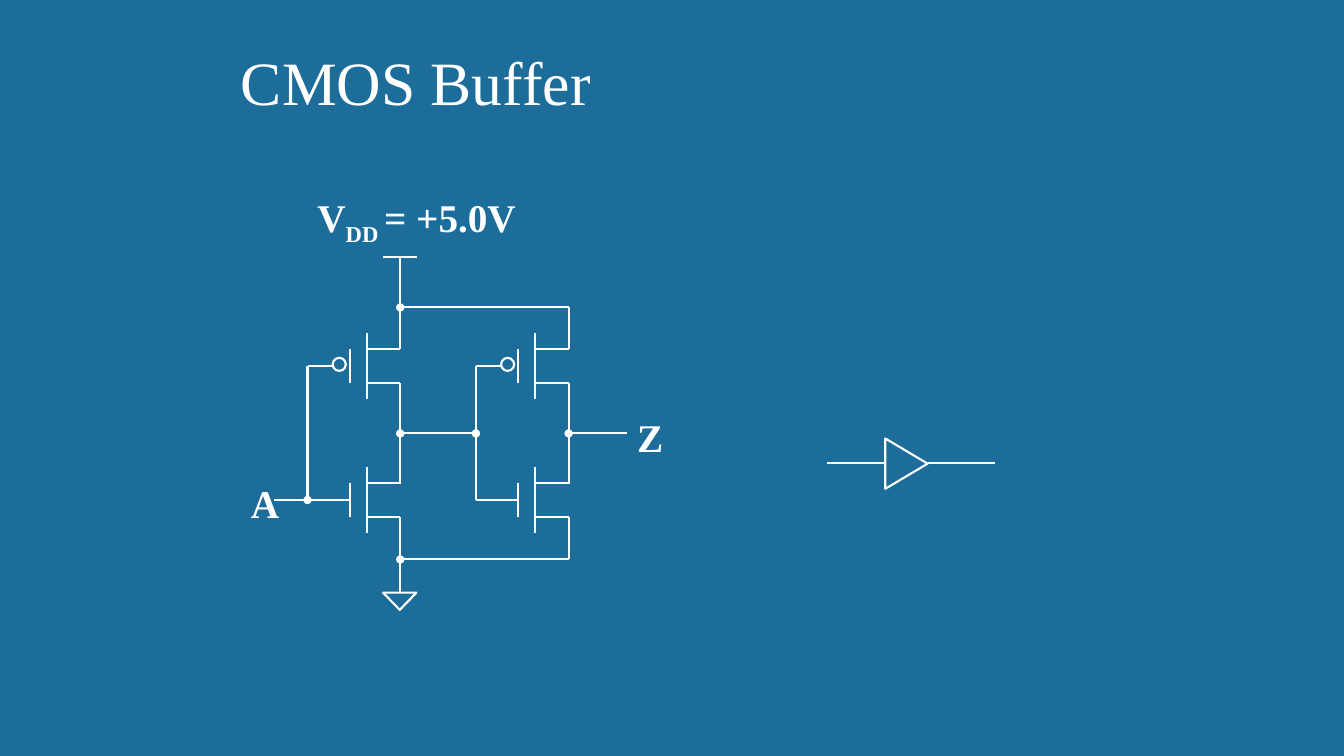
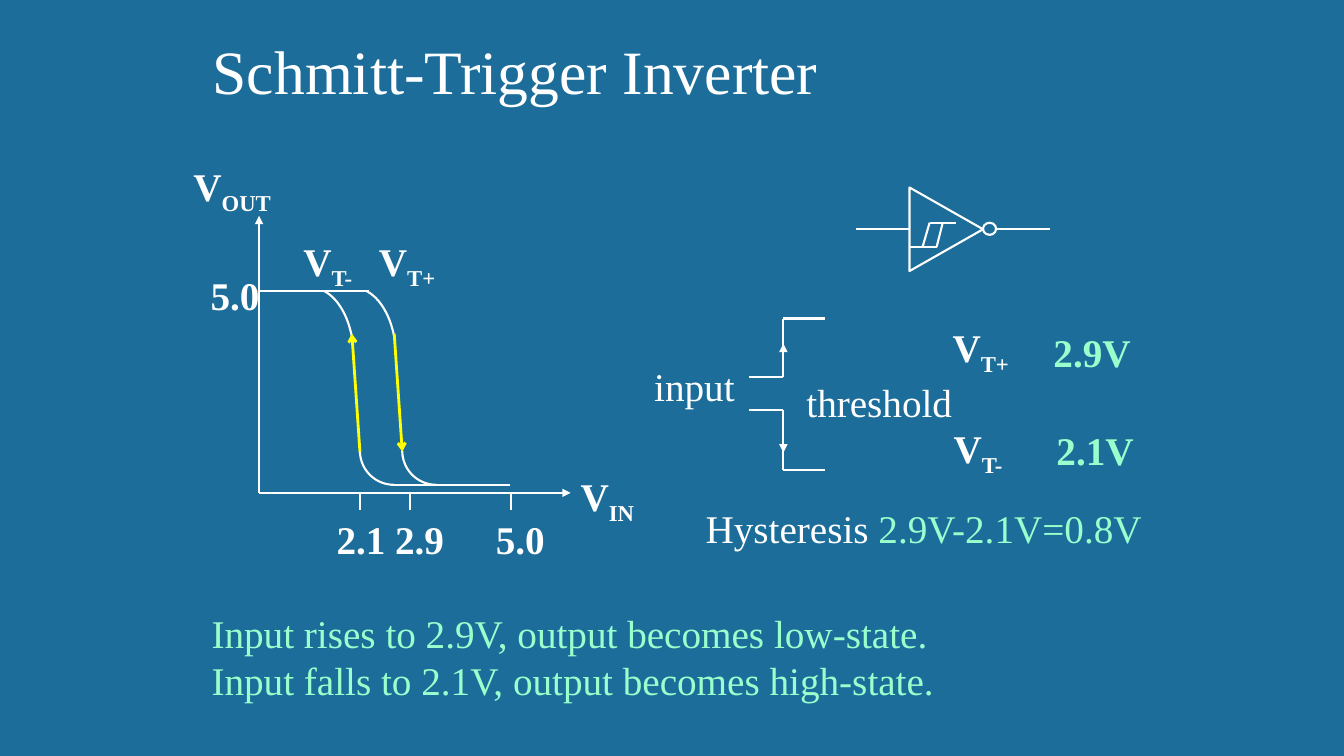
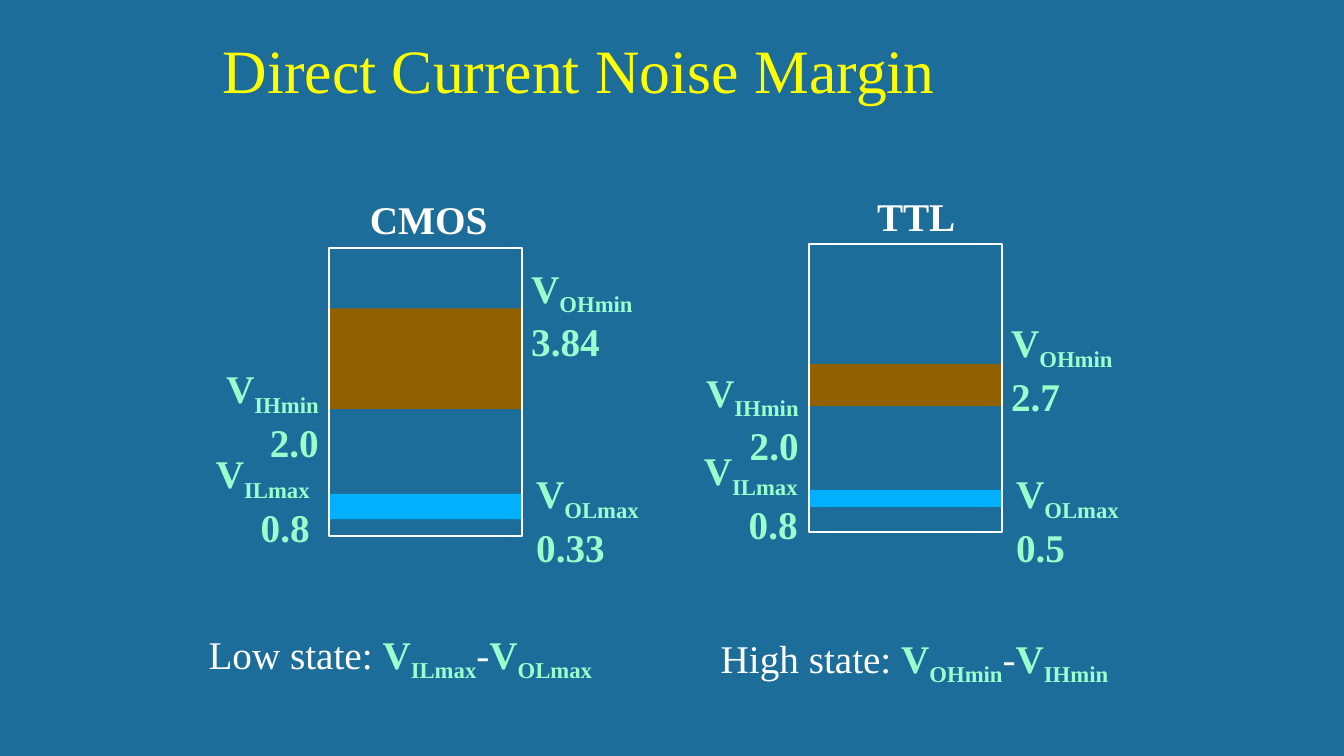
from pptx import Presentation
from pptx.dml.color import RGBColor
from pptx.enum.shapes import MSO_CONNECTOR, MSO_SHAPE
from pptx.enum.text import MSO_ANCHOR, PP_ALIGN
from pptx.oxml.ns import qn
from pptx.util import Inches, Pt
from lxml import etree

STRAIGHT = MSO_CONNECTOR.STRAIGHT
TRIANGLE, CIRCLE, RECT = MSO_SHAPE.ISOSCELES_TRIANGLE, MSO_SHAPE.OVAL, MSO_SHAPE.RECTANGLE
LEFT, RIGHT = PP_ALIGN.LEFT, PP_ALIGN.RIGHT
TOP, BOTTOM = MSO_ANCHOR.TOP, MSO_ANCHOR.BOTTOM

# Shared style
FONT = "Times New Roman"
BLUE, WHITE, MINT, YELLOW = "1C6D9A", "FFFFFF", "99FFCC", "FFFF00"
LOW_BAND, HIGH_BAND = "01B0FF", "916101"
ONE_LINE, TWO_LINES = 0.57, 1.04


# Content: a run is (text, colour, bold, subscript)
def plain(text, color=WHITE):
    return (text, color, False, False)


def strong(text, color=WHITE):
    return (text, color, True, False)


def volt(subscript, color=WHITE):
    return [strong("V", color), (subscript, color, True, True)]


# CMOS buffer: drain column, supply end, ground end, input end, input node
BUFFER_STAGES = [
    (3.97, 2.55, 5.88, 2.72, "oval"),
    (5.64, 3.05, 5.55, 4.72, None),
]
NMOS_DROP = 1.33
BUFFER_WIRES = [
    (3.8, 2.55, 4.14, 2.55, None, None),
    (3.97, 4.3, 4.72, 4.3, "oval", "oval"),
    (5.64, 4.3, 6.22, 4.3, "oval", None),
    (3.97, 3.05, 5.64, 3.05, "oval", None),
    (3.97, 5.55, 5.64, 5.55, "oval", None),
    (8.2, 4.59, 8.79, 4.59, None, None),
    (9.2, 4.59, 9.87, 4.59, None, None),
]
BUFFER_LABELS = [
    (3.05, 1.87, 2.25, volt("DD ") + [strong("= +5.0V")]),
    (2.39, 4.71, 0.49, [strong("A")]),
    (6.22, 4.05, 0.46, [strong("Z")]),
]

# Schmitt trigger: transfer curve, gate symbol and input thresholds
UPPER_BEND = [(3.22, 2.89), (3.35, 2.96), (3.45, 3.13), (3.49, 3.34)]
LOWER_BEND = [(3.57, 4.47), (3.57, 4.66), (3.72, 4.81), (3.91, 4.81)]
BRANCHES = [(0, "arrow", None), (0.42, None, "arrow")]
TICKS = [(3.57, 3.24, "2.1"), (4.07, 3.82, "2.9"), (5.07, 4.82, "5.0")]
AXIS_Y = 4.89
TRIGGER_WIRES = [
    (2.57, AXIS_Y, 5.66, AXIS_Y, None, "triangle"),
    (2.57, AXIS_Y, 2.57, 2.14, None, "triangle"),
    (2.57, 2.89, 3.66, 2.89, None, None),
    (3.91, 4.81, 5.06, 4.81, None, None),
    (9.88, 2.27, 10.41, 2.27, None, None),
    (9.22, 2.21, 9.48, 2.21, None, None),
    (9.22, 2.21, 9.15, 2.45, None, None),
    (9.35, 2.21, 9.29, 2.45, None, None),
    (9.02, 2.45, 9.29, 2.45, None, None),
    (9.02, 2.27, 8.49, 2.27, None, None),
]
# Input level, threshold level, arrow start, arrow end
INPUT_STEPS = [(3.74, 3.16, 3.57, 3.41), (4.07, 4.66, 4.32, 4.49)]
TRIGGER_LABELS = [
    (1.82, 1.56, 1.05, volt("OUT")),
    (5.66, 4.64, 0.78, volt("IN")),
    (1.99, 2.64, 0.69, [strong("5.0")]),
    (3.66, 2.31, 0.84, volt("T+")),
    (2.91, 2.31, 0.74, volt("T-")),
    (6.39, 3.55, 1.01, [plain("input")]),
    (7.9, 3.7, 1.66, [plain("threshold")]),
    (9.35, 3.16, 0.84, volt("T+")),
    (9.36, 4.16, 0.74, volt("T-")),
    (10.35, 3.21, 0.99, [strong("2.9V", MINT)]),
    (10.38, 4.18, 0.99, [strong("2.1V", MINT)]),
    (6.9, 4.95, 4.57, [plain("Hysteresis"), plain(" 2.9V-2.1V=0.8V", MINT)]),
]
TRIGGER_RULES = [
    [plain("Input rises to 2.9V, output becomes low-state.", MINT)],
    [plain("Input falls to 2.1V, output becomes high-state.", MINT)],
]

# Noise margins: bands are (top, height); levels are (name, value, x, y, width, align)
FAMILIES = [
    {"name": "TTL", "label": (8.6, 1.86, 0.99), "frame": (8.02, 2.42),
     "low": (4.86, 0.17), "high": (3.61, 0.42),
     "levels": [("OLmax", "0.5", 9.98, 4.61, 1.34, LEFT),
                ("OHmin", "2.7", 9.93, 3.11, 1.32, LEFT),
                ("IHmin", "2.0", 6.79, 3.6, 1.23, RIGHT),
                ("ILmax", "0.8", 6.77, 4.38, 1.24, RIGHT)]},
    {"name": "CMOS", "label": (3.57, 1.89, 1.38), "frame": (3.26, 2.46),
     "low": (4.9, 0.25), "high": (3.06, 1),
     "levels": [("OLmax", "0.33", 5.22, 4.61, 1.34, LEFT),
                ("ILmax", "0.8", 1.93, 4.41, 1.24, RIGHT),
                ("IHmin", "2.0", 2.03, 3.57, 1.23, RIGHT),
                ("OHmin", "3.84", 5.17, 2.57, 1.32, LEFT)]},
]
FRAME_WIDTH, FRAME_HEIGHT = 1.92, 2.86
MARGINS = [
    (1.97, 6.2, 4.99, "Low state: ", "ILmax", "OLmax"),
    (7.05, 6.24, 5.06, "High state: ", "OHmin", "IHmin"),
]


# Drawing helpers
def rgb(color):
    return RGBColor.from_string(color)


def add_run(paragraph, text, color, size=28, bold=False, subscript=False):
    run = paragraph.add_run()
    run.text = text
    run.font.name, run.font.size, run.font.bold = FONT, Pt(size), bold
    run.font.color.rgb = rgb(color)
    if subscript:
        run._r.get_or_add_rPr().set("baseline", "-25000")


def add_slide(prs, title, box, color=WHITE, anchor=BOTTOM):
    slide = prs.slides.add_slide(prs.slide_layouts[5])
    holder = slide.shapes.title
    holder.left, holder.top, holder.width, holder.height = map(Inches, box)
    holder.text_frame.vertical_anchor = anchor
    paragraph = holder.text_frame.paragraphs[0]
    paragraph.alignment = LEFT
    add_run(paragraph, title, color, size=44)
    return slide


def add_text(slide, x, y, width, *lines, height=ONE_LINE, align=LEFT):
    frame = slide.shapes.add_textbox(*map(Inches, (x, y, width, height))).text_frame
    frame.word_wrap = False
    for number, line in enumerate(lines):
        paragraph = frame.add_paragraph() if number else frame.paragraphs[0]
        paragraph.alignment = align
        for text, color, bold, subscript in line:
            add_run(paragraph, text, color, bold=bold, subscript=subscript)


def add_wire(slide, x1, y1, x2, y2, head=None, tail=None, color=WHITE, width=1.5):
    wire = slide.shapes.add_connector(STRAIGHT, *map(Inches, (x1, y1, x2, y2)))
    wire.line.color.rgb = rgb(color)
    wire.line.width = Pt(width)
    line = wire.line._get_or_add_ln()
    for tag, end in (("a:headEnd", head), ("a:tailEnd", tail)):
        if end:
            etree.SubElement(line, qn(tag), type=end)
    etree.SubElement(wire._element.spPr, qn("a:effectLst"))


def outline(shape):
    shape.shadow.inherit = False
    shape.fill.background()
    shape.line.color.rgb = rgb(WHITE)
    shape.line.width = Pt(1.5)


def add_outline(slide, kind, x, y, width, height, rotation=0):
    shape = slide.shapes.add_shape(kind, *map(Inches, (x, y, width, height)))
    shape.rotation = rotation
    outline(shape)


def add_band(slide, x, y, width, height, color):
    band = slide.shapes.add_shape(RECT, *map(Inches, (x, y, width, height)))
    band.shadow.inherit = False
    band.fill.solid()
    band.fill.fore_color.rgb = rgb(color)
    band.line.fill.background()


def add_bend(slide, controls, shift, steps=24):
    points = []
    for step in range(steps + 1):
        t = step / steps
        weights = ((1 - t) ** 3, 3 * t * (1 - t) ** 2, 3 * t ** 2 * (1 - t), t ** 3)
        x = sum(w * px for w, (px, _) in zip(weights, controls)) + shift
        y = sum(w * py for w, (_, py) in zip(weights, controls))
        points.append((Inches(x), Inches(y)))
    builder = slide.shapes.build_freeform(*points[0])
    builder.add_line_segments(points[1:], close=False)
    outline(builder.convert_to_shape())


# Slides
def build_buffer(prs):
    slide = add_slide(prs, "CMOS Buffer", (2.29, 0.39, 8.5, 0.83))
    for drain, supply, ground, source, node in BUFFER_STAGES:
        gate, channel, bubble, tie = (drain - d for d in (0.5, 0.33, 0.67, 0.92))
        for drop in (0, NMOS_DROP):
            add_wire(slide, gate, 3.46 + drop, gate, 3.8 + drop)
            add_wire(slide, channel, 3.3 + drop, channel, 3.96 + drop)
            for y in (3.46, 3.8):
                add_wire(slide, channel, y + drop, drain, y + drop)
        add_outline(slide, CIRCLE, bubble, 3.55, 0.13, 0.13)
        for start, end in ((3.46, supply), (3.8, 4.8), (5.13, ground)):
            add_wire(slide, drain, start, drain, end)
        add_wire(slide, bubble, 3.63, tie, 3.63)
        add_wire(slide, tie, 3.63, tie, 4.96, tail=node)
        add_wire(slide, gate, 4.96, source, 4.96)
    for wire in BUFFER_WIRES:
        add_wire(slide, *wire)
    add_outline(slide, TRIANGLE, 3.8, 5.88, 0.33, 0.17, rotation=180)
    add_outline(slide, TRIANGLE, 8.74, 4.39, 0.5, 0.42, rotation=90)
    for label in BUFFER_LABELS:
        add_text(slide, *label)


def build_trigger(prs):
    slide = add_slide(prs, "Schmitt-Trigger Inverter", (2.01, 0.27, 8.35, 0.84))
    for wire in TRIGGER_WIRES:
        add_wire(slide, *wire)
    for shift, head, tail in BRANCHES:
        add_bend(slide, UPPER_BEND, shift)
        add_bend(slide, LOWER_BEND, shift)
        add_wire(slide, 3.49 + shift, 3.31, 3.57 + shift, 4.48, head, tail, YELLOW, 2)
    for tick, label_x, value in TICKS:
        add_wire(slide, tick, AXIS_Y, tick, 5.06)
        add_text(slide, label_x, 5.06, 0.69, [strong(value)])
    add_outline(slide, TRIANGLE, 8.97, 1.91, 0.83, 0.73, rotation=90)
    add_outline(slide, CIRCLE, 9.75, 2.21, 0.13, 0.12)
    for level, threshold, start, end in INPUT_STEPS:
        add_wire(slide, 7.43, level, 7.77, level)
        add_wire(slide, 7.77, level, 7.77, threshold)
        add_wire(slide, 7.77, threshold, 8.18, threshold)
        add_wire(slide, 7.77, start, 7.77, end, tail="triangle")
    for label in TRIGGER_LABELS:
        add_text(slide, *label)
    add_text(slide, 2, 6, 7.44, *TRIGGER_RULES, height=TWO_LINES)


def build_margins(prs):
    slide = add_slide(prs, "Direct Current Noise Margin", (2.11, 0.27, 7.83, 0.84),
                      YELLOW, TOP)
    for family in FAMILIES:
        left, top = family["frame"]
        for state, color in (("low", LOW_BAND), ("high", HIGH_BAND)):
            band_top, band_height = family[state]
            add_band(slide, left, band_top, FRAME_WIDTH, band_height, color)
        add_outline(slide, RECT, left, top, FRAME_WIDTH, FRAME_HEIGHT)
        add_text(slide, *family["label"], [strong(family["name"])])
        for name, value, x, y, width, align in family["levels"]:
            add_text(slide, x, y, width, volt(name, MINT), [strong(value, MINT)],
                     height=TWO_LINES, align=align)
    for x, y, width, state, upper, lower in MARGINS:
        formula = [plain(state), *volt(upper, MINT), plain("-"), *volt(lower, MINT)]
        add_text(slide, x, y, width, formula)
        slide.shapes[-1].text_frame.word_wrap = True


def main():
    prs = Presentation()
    prs.slide_width, prs.slide_height = Inches(13.33), Inches(7.5)
    background = prs.slide_master.background.fill
    background.solid()
    background.fore_color.rgb = rgb(BLUE)
    for build in (build_buffer, build_trigger, build_margins):
        build(prs)
    prs.save("out.pptx")


if __name__ == "__main__":
    main()
